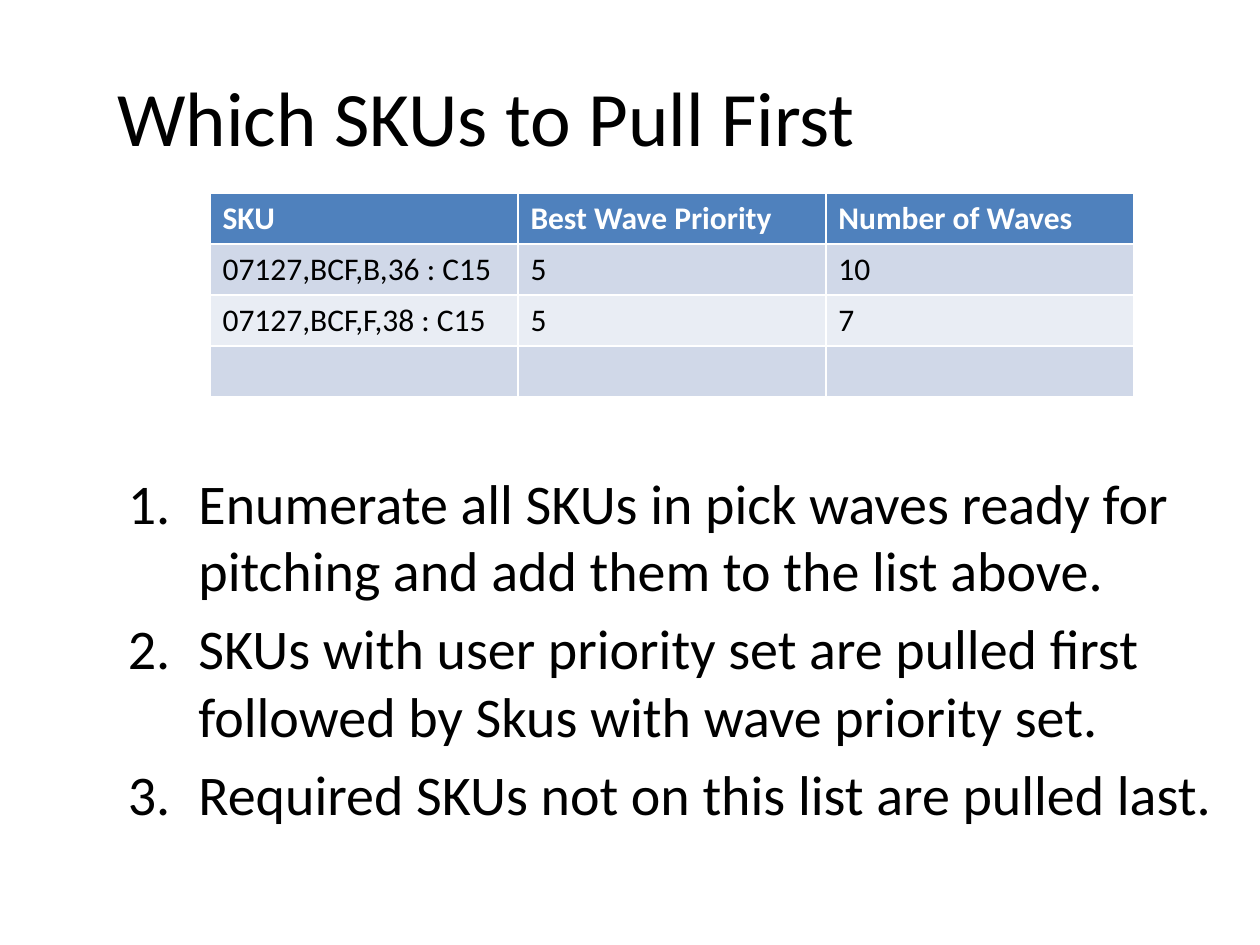
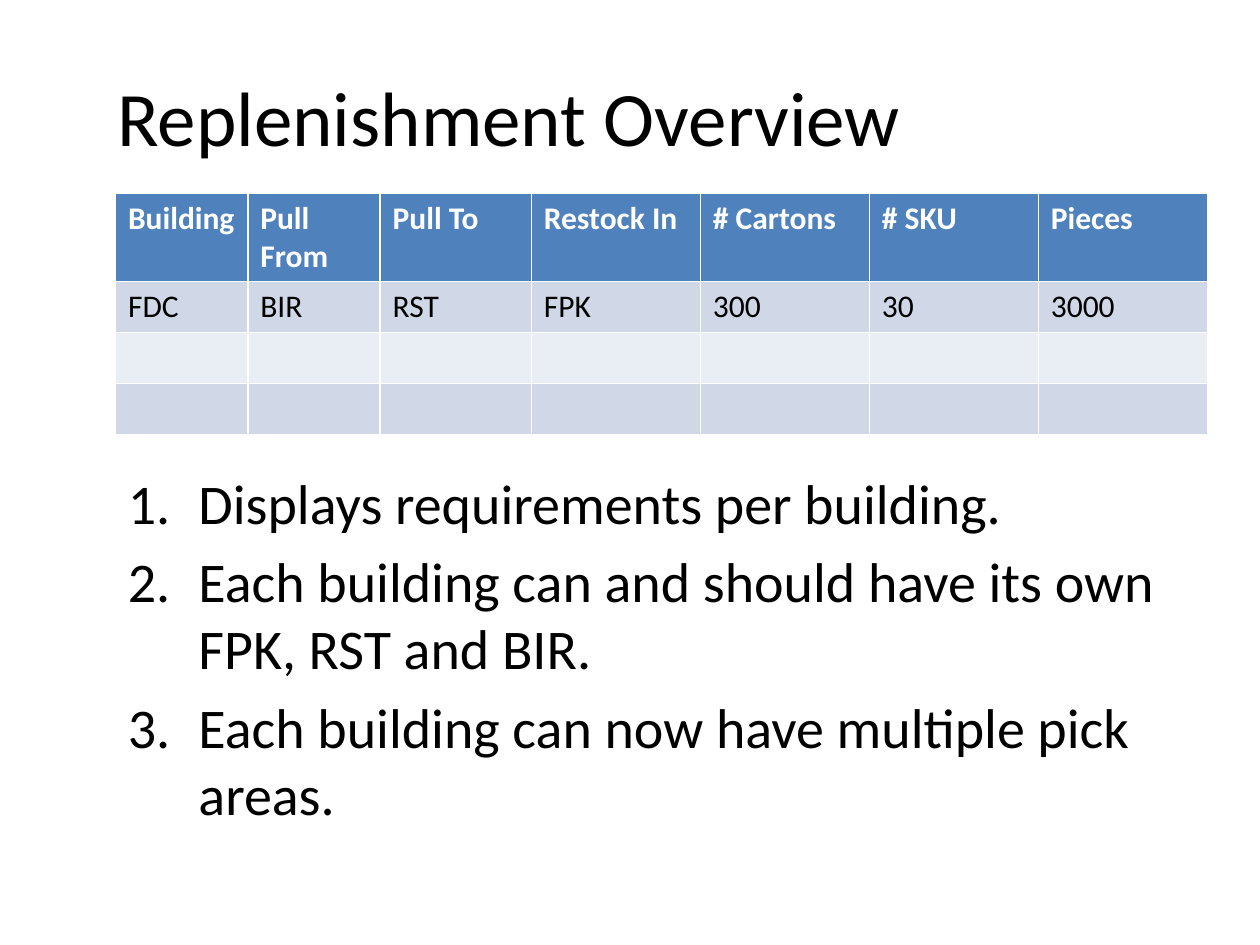
"""Build two slides on stock pulls, each with a title, a table and a numbered list."""
from pptx import Presentation
from pptx.dml.color import RGBColor as Rgb
from pptx.enum.text import MSO_ANCHOR as Anchor
from pptx.oxml.xmlchemy import OxmlElement as Node
from pptx.util import Inches, Pt

HUES = {"ink": "000000", "paper": "FFFFFF", "head": "4F81BD", "odd": "D0D8E8", "even": "E9EDF4"}
FONT = "Calibri"

deck = Presentation()
deck.slide_width, deck.slide_height = Inches(10), Inches(7.5)
UNIT = deck.slide_width / 120
ROW = 4.86


def grid(*spans):
    return [round(span * UNIT) for span in spans]


def write(frame, *lines, size=18, hue="ink", bold=False, number=False):
    frame.word_wrap = True
    for i, line in enumerate(lines):
        para = frame.add_paragraph() if i else frame.paragraphs[0]
        font = para.font
        font.name, font.size, font.bold = FONT, Pt(size), bold
        font.color.rgb = Rgb.from_string(HUES[hue])
        if line:
            run = para.add_run()
            run.text = line
            run.font.name, run.font.size, run.font.bold = FONT, Pt(size), bold
            run.font.color.rgb = Rgb.from_string(HUES[hue])
        if number:
            para.space_before = Pt(size * 0.2)
            props = para._p.get_or_add_pPr()
            props.set("marL", str(Inches(0.56)))
            props.set("indent", str(-Inches(0.56)))
            mark = Node("a:buAutoNum")
            mark.set("type", "arabicPeriod")
            props.insert_element_before(mark, "a:tabLst", "a:defRPr", "a:extLst")


pages = [
    {
        "title": "Which SKUs to Pull First",
        "left": 20,
        "cols": [29.33] * 3,
        "rows": [
            ["SKU", "Best Wave Priority", "Number of Waves"],
            ["07127,BCF,B,36 : C15", "5", "10"],
            ["07127,BCF,F,38 : C15", "5", "7"],
            [""] * 3,
        ],
        "steps": [
            "Enumerate all SKUs in pick waves ready for pitching and add them to the list above.",
            "SKUs with user priority set are pulled first followed by Skus with wave priority set.",
            "Required SKUs not on this list are pulled last.",
        ],
        "depth": 39,
    },
    {
        "title": "Replenishment Overview",
        "left": 11,
        "cols": [12.6] * 2 + [14.4] + [16.1] * 4,
        "rows": [
            ["Building", "Pull From", "Pull To", "Restock In", "# Cartons", "# SKU", "Pieces"],
            ["FDC", "BIR", "RST", "FPK", "300", "30", "3000"],
            [""] * 7,
            [""] * 7,
        ],
        "steps": [
            "Displays requirements per building.",
            "Each building can and should have its own FPK, RST and BIR.",
            "Each building can now have multiple pick areas.",
        ],
        "depth": 34,
    },
]

for page in pages:
    slide = deck.slides.add_slide(deck.slide_layouts[6])
    shapes = slide.shapes

    title = shapes.add_textbox(*grid(10, 3.5, 106, 15)).text_frame
    title.vertical_anchor = Anchor.MIDDLE
    write(title, page["title"], size=44)

    rows, cols = page["rows"], page["cols"]
    box = grid(page["left"], 18.4, sum(cols), ROW * len(rows))
    table = shapes.add_table(len(rows), len(cols), *box).table
    for col, width in zip(table.columns, grid(*cols)):
        col.width = width
    for r, row in enumerate(rows):
        table.rows[r].height = grid(ROW)[0]
        band = "odd" if r % 2 else "even" if r else "head"
        for c, text in enumerate(row):
            cell = table.cell(r, c)
            cell.fill.solid()
            cell.fill.fore_color.rgb = Rgb.from_string(HUES[band])
            write(cell.text_frame, text, hue="ink" if r else "paper", bold=r == 0)

    steps = shapes.add_textbox(*grid(11, 44, 106, page["depth"])).text_frame
    write(steps, *page["steps"], size=32, number=True)

deck.save("out.pptx")
